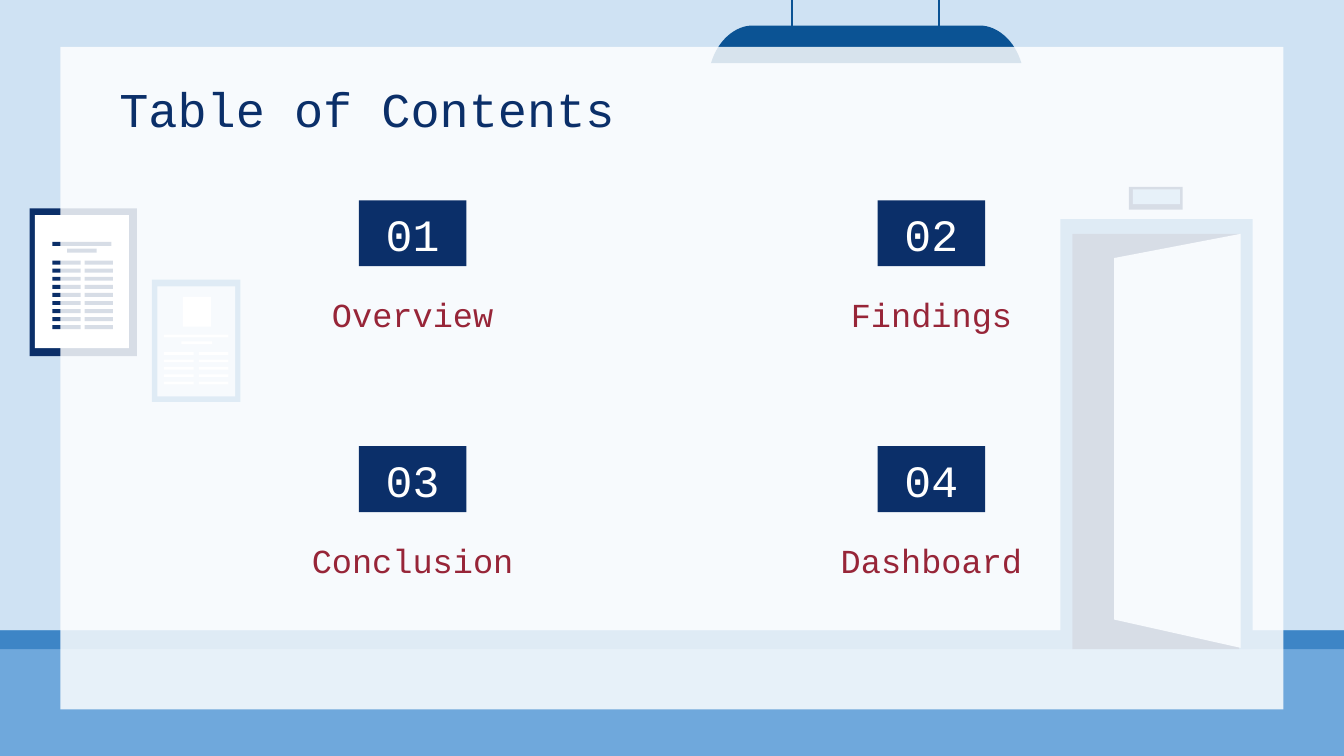
from lxml import etree
from pptx import Presentation
from pptx.dml.color import RGBColor
from pptx.enum import shapes, text
from pptx.oxml.ns import qn
from pptx.util import Inches, Pt

NAVY = RGBColor(0x0B, 0x2F, 0x69)
DEEP = RGBColor(0x0B, 0x53, 0x94)
BLUE = RGBColor(0x3D, 0x85, 0xC6)
SKY = RGBColor(0x6F, 0xA8, 0xDC)
PALE = RGBColor(0xCF, 0xE2, 0xF3)
WHITE = RGBColor(0xFF, 0xFF, 0xFF)
RED = RGBColor(0x97, 0x25, 0x38)
FONT = "Courier New"
WIDTH = 10
HEIGHT = WIDTH * 9 / 16

# Content
TITLE = "Table of Contents"
SECTIONS = [("01", "Overview"), ("02", "Findings"),
            ("03", "Conclusion"), ("04", "Dashboard")]

# Room: left, top, width, height, colour
FLOOR = [(0, 4.69, WIDTH, HEIGHT - 4.69, SKY), (0, 4.69, WIDTH, 0.14, BLUE)]
SMALL_POSTER = [(1.13, 2.08, 0.66, 0.91, BLUE), (1.17, 2.13, 0.58, 0.82, PALE),
                (1.35, 2.54, 0.23, 0.02, WHITE), (1.22, 2.49, 0.48, 0.02, WHITE),
                (1.36, 2.21, 0.21, 0.22, WHITE)]
DOOR_FRAME = [(7.89, 1.63, 1.43, 3.2, BLUE), (7.98, 1.74, 1.24, 3.09, NAVY)]
LARGE_POSTER = [(0.22, 1.55, 0.8, 1.1, NAVY), (0.26, 1.6, 0.7, 0.99, WHITE),
                (0.5, 1.85, 0.22, 0.03, NAVY), (0.39, 1.8, 0.44, 0.03, NAVY)]
SIGN = [(8.4, 1.39, 0.4, 0.17, NAVY), (8.43, 1.41, 0.35, 0.11, SKY)]
DOOR = [(9.23, 1.74), (8.29, 1.92), (8.29, 4.61), (9.23, 4.82)]
LAMP_CURVE = [(5.6, 0.19), (5.47, 0.19), (5.34, 0.3), (5.29, 0.47)]
LAMP_RIGHT = 7.6
CORDS = [5.89, 6.99]

prs = Presentation()
prs.slide_width, prs.slide_height = Inches(WIDTH), Inches(HEIGHT)
s = prs.slides.add_slide(prs.slide_layouts[6])
s.background.fill.solid()
s.background.fill.fore_color.rgb = PALE


def paint(sp, color):
    sp.shadow.inherit = False
    sp.fill.solid()
    sp.fill.fore_color.rgb = color
    sp.line.fill.background()
    return sp


def add_rect(x, y, w, h, color):
    box = [Inches(v) for v in (x, y, w, h)]
    return paint(s.shapes.add_shape(shapes.MSO_SHAPE.RECTANGLE, *box), color)


def add_rects(rects):
    for rect in rects:
        add_rect(*rect)


def add_columns(lefts, top, w, h, rows, pitch, color):
    for x in lefts:
        for row in range(rows):
            add_rect(x, top + row * pitch, w, h, color)


def add_polygon(points, color):
    pts = [(Inches(x), Inches(y)) for x, y in points]
    builder = s.shapes.build_freeform(*pts[0])
    builder.add_line_segments(pts[1:], close=True)
    return paint(builder.convert_to_shape(), color)


def bezier(points, steps=16):
    curve = []
    for i in range(steps + 1):
        t = i / steps
        weights = ((1 - t) ** 3, 3 * t * (1 - t) ** 2, 3 * t * t * (1 - t), t ** 3)
        curve.append(tuple(sum(k * p[axis] for k, p in zip(weights, points))
                           for axis in (0, 1)))
    return curve


def add_text(words, x, y, w, h, size, color, fill=None,
             align=text.PP_ALIGN.CENTER, anchor=text.MSO_ANCHOR.MIDDLE):
    if fill is None:
        sp = s.shapes.add_textbox(*[Inches(v) for v in (x, y, w, h)])
    else:
        sp = add_rect(x, y, w, h, fill)
    tf = sp.text_frame
    tf.word_wrap = True
    tf.vertical_anchor = anchor
    tf.margin_left = tf.margin_right = tf.margin_top = tf.margin_bottom = Inches(0.1)
    p = tf.paragraphs[0]
    p.alignment = align
    r = p.add_run()
    r.text = words
    r.font.name, r.font.size, r.font.color.rgb = FONT, Pt(size), color


# Floor, posters and door
add_rects(FLOOR + SMALL_POSTER)
add_columns([1.22, 1.48], 2.62, 0.22, 0.02, 5, 0.22 / 4, WHITE)
add_rects(DOOR_FRAME)
add_polygon(DOOR, PALE)
add_rects(LARGE_POSTER)
add_columns([0.39, 0.63], 1.94, 0.21, 0.03, 9, 0.06, NAVY)
add_rects(SIGN)

# Hanging lamp
left_side = bezier(LAMP_CURVE)
lamp_left = LAMP_CURVE[-1][0]
right_side = [(lamp_left + LAMP_RIGHT - x, y) for x, y in reversed(left_side)]
add_polygon(left_side + right_side, DEEP)
for x in CORDS:
    cord = s.shapes.add_connector(shapes.MSO_CONNECTOR.STRAIGHT,
                                  Inches(x), Inches(0), Inches(x), Inches(0.23))
    cord.line.color.rgb, cord.line.width = DEEP, Pt(1.11)
    etree.SubElement(cord._element.spPr, qn("a:effectLst"))

# Translucent panel
panel = add_rect(0.45, 0.35, 9.1, 4.93, WHITE)
color = panel._element.spPr.find(qn("a:solidFill"))[0]
etree.SubElement(color, qn("a:alpha"), val="84000")

# Title and section grid
add_text(TITLE, 0.79, 0.49, 8.43, 0.63, 26, NAVY,
         align=text.PP_ALIGN.LEFT, anchor=text.MSO_ANCHOR.TOP)
for i, (number, name) in enumerate(SECTIONS):
    row, col = divmod(i, 2)
    center, top = 3.07 + 3.86 * col, 1.49 + 1.83 * row
    add_text(number, center - 0.4, top, 0.8, 0.49, 24, WHITE, fill=NAVY)
    add_text(name, center - 1.26, top + 0.57, 2.52, 0.53, 18, RED,
             anchor=text.MSO_ANCHOR.BOTTOM)

prs.save("out.pptx")
